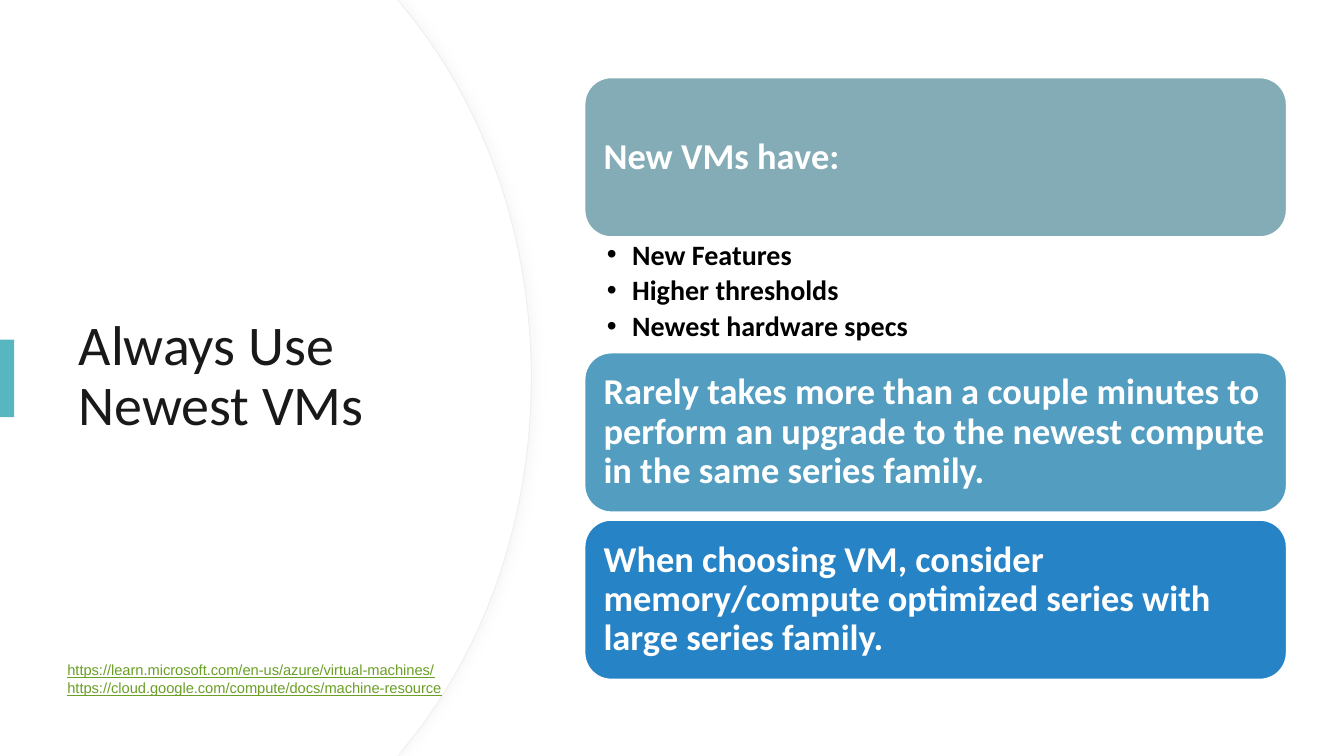
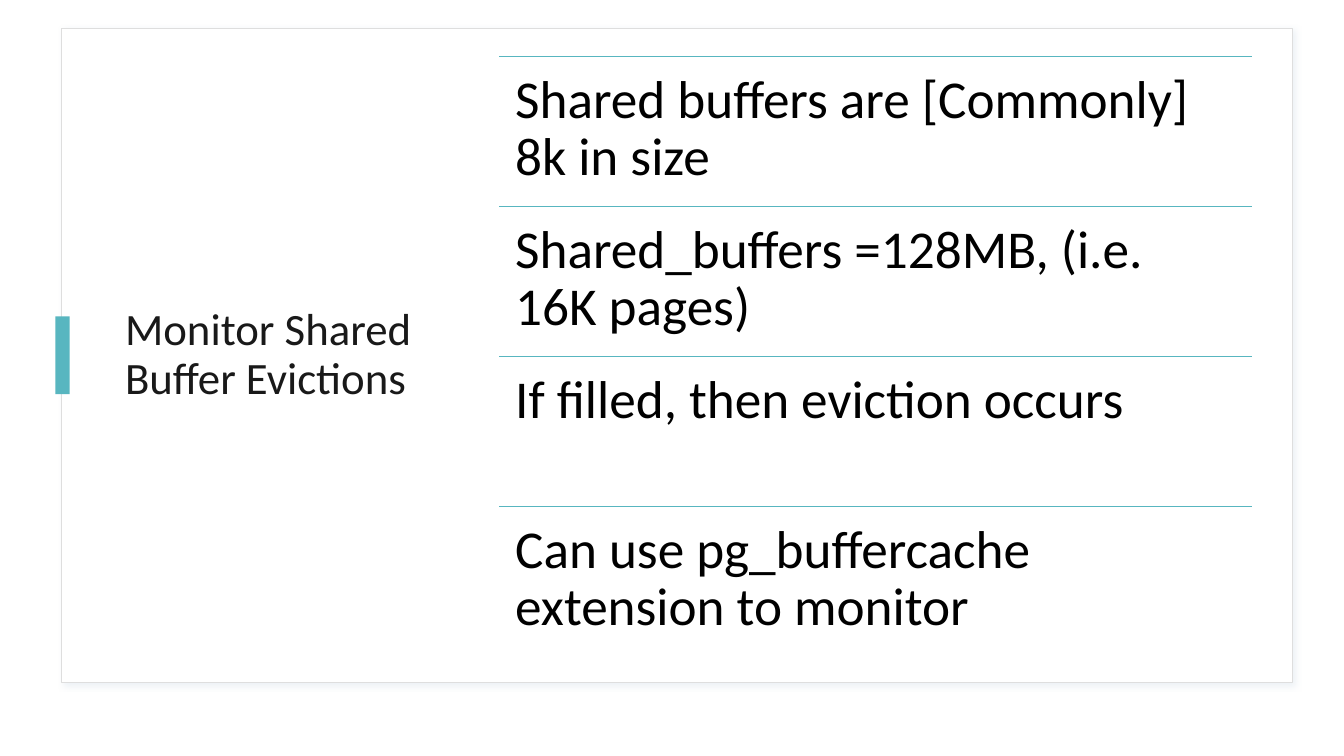
from dataclasses import dataclass
from typing import Any, NamedTuple

from lxml.etree import SubElement
from pptx import Presentation
from pptx.dml.color import RGBColor
from pptx.enum.shapes import MSO_CONNECTOR, MSO_SHAPE
from pptx.enum.text import MSO_ANCHOR, MSO_AUTO_SIZE, PP_ALIGN
from pptx.oxml.ns import qn
from pptx.util import Emu, Pt

EMU_PER_PX = 9144  # 100 px to the inch
SLIDE_W, SLIDE_H = 1333, 750


@dataclass(frozen=True)
class Theme:
    white: str = "FFFFFF"
    ink: str = "000000"
    title: str = "191919"
    accent: str = "58B6C0"
    link: str = "6B9F25"
    arc_edge: str = "EFEFEF"
    panel_edge: str = "DEDEDE"
    cards: tuple[str, ...] = ("84ACB6", "539EC0", "2683C6")
    body_font: str = "Calibri"
    link_font: str = "Arial"
    title_size: float = 40
    small_title_size: float = 32
    row_size: float = 38
    card_size: float = 26
    bullet_size: float = 20
    link_size: float = 10.5


THEME = Theme()


class Box(NamedTuple):
    left: float
    top: float
    width: float
    height: float

    def emu(self) -> tuple[Emu, ...]:
        return tuple(px(length) for length in self)


class Shadow(NamedTuple):
    color: str
    blur: float
    distance: float
    degrees: int


class TextStyle(NamedTuple):
    size: float
    color: str
    font: str = THEME.body_font
    bold: bool = False
    underline: bool = False
    line_spacing: float = 0.9
    space_after: float = 0


@dataclass(frozen=True)
class Card:
    text: str
    top: int
    color: str


ARC_SHADOW = Shadow("D9D9D9", 7, 3, 0)
PANEL_SHADOW = Shadow("A3BBD0", 4, 3, 45)
CARD_LEFT, CARD_W, CARD_H = 580, 696, 158
CARDS = [
    Card(text, top, color)
    for text, top, color in zip(
        (
            "New VMs have:",
            "Rarely takes more than a couple minutes to perform an upgrade "
            "to the newest compute in the same series family.",
            "When choosing VM, consider memory/compute optimized series "
            "with large series family.",
        ),
        (77, 350, 516),
        THEME.cards,
    )
]
FEATURES = ["New Features", "Higher thresholds", "Newest hardware specs"]
SOURCES = [
    "https://learn.microsoft.com/en-us/azure/virtual-machines/",
    "https://cloud.google.com/compute/docs/machine-resource",
]
BUFFER_FACTS = [
    "Shared buffers are [Commonly] 8k in size",
    "Shared_buffers =128MB, (i.e. 16K pages)",
    "If filled, then eviction occurs",
    "Can use pg_buffercache extension to monitor",
]


def px(length: float) -> Emu:
    return Emu(round(length * EMU_PER_PX))


def apply_format(target: Any, values: dict[str, Any]) -> None:
    for name, value in values.items():
        setattr(target, name, value)


# Text
def write(shape: Any, lines: list[str], style: TextStyle,
          insets: tuple[int, int, int, int] = (10, 5, 10, 5),
          anchor: MSO_ANCHOR = MSO_ANCHOR.TOP, hanging: int = 0) -> None:
    frame = shape.text_frame
    margins = ("margin_left", "margin_top", "margin_right", "margin_bottom")
    apply_format(frame, {
        "word_wrap": True,
        "auto_size": MSO_AUTO_SIZE.NONE,
        "vertical_anchor": anchor,
        **{side: px(inset) for side, inset in zip(margins, insets)},
    })
    frame.text = "\n".join(lines)
    for paragraph in frame.paragraphs:
        apply_format(paragraph, {
            "alignment": PP_ALIGN.LEFT,
            "line_spacing": style.line_spacing,
            "space_before": Pt(0),
            "space_after": Pt(style.space_after),
        })
        if hanging:
            properties = paragraph._p.get_or_add_pPr()
            properties.set("marL", str(px(hanging)))
            properties.set("indent", str(-px(hanging)))
        for run in paragraph.runs:
            apply_format(run.font, {
                "name": style.font,
                "size": Pt(style.size),
                "bold": style.bold,
                "underline": style.underline,
            })
            run.font.color.rgb = RGBColor.from_string(style.color)


def place(shape: Any, box: Box) -> None:
    apply_format(shape, dict(zip(("left", "top", "width", "height"), box.emu())))


def add_title(slide: Any, text: str, box: Box, size: float) -> None:
    title = slide.shapes.title
    place(title, box)
    write(title, [text], TextStyle(size, THEME.title), anchor=MSO_ANCHOR.MIDDLE)
    title._element.getparent().append(title._element)  # above the backdrop


# Shapes
def paint(shape: Any, fill: str, edge: str | None = None, width: float = 1,
          shadow: Shadow | None = None) -> None:
    shape.fill.solid()
    shape.fill.fore_color.rgb = RGBColor.from_string(fill)
    if edge:
        shape.line.color.rgb = RGBColor.from_string(edge)
        shape.line.width = Pt(width)
    else:
        shape.line.fill.background()
    shape.shadow.inherit = False
    if shadow:
        effects = shape._element.spPr.find(qn("a:effectLst"))
        outer = SubElement(
            effects, qn("a:outerShdw"), blurRad=str(Pt(shadow.blur)),
            dist=str(Pt(shadow.distance)), dir=str(shadow.degrees * 60000),
            algn="ctr", rotWithShape="0")
        color = SubElement(outer, qn("a:srgbClr"), val=shadow.color)
        SubElement(color, qn("a:alpha"), val="20000")


def add_block(slide: Any, preset: MSO_SHAPE, box: Box, fill: str,
              edge: str | None = None, shadow: Shadow | None = None) -> Any:
    block = slide.shapes.add_shape(preset, *box.emu())
    paint(block, fill, edge, shadow=shadow)
    return block


def add_accent_tab(slide: Any, left: int, top: int) -> None:
    add_block(slide, MSO_SHAPE.RECTANGLE, Box(left, top, 14, 77), THEME.accent)


def add_rule(slide: Any, left: float, right: float, top: float) -> None:
    rule = slide.shapes.add_connector(
        MSO_CONNECTOR.STRAIGHT, px(left), px(top), px(right), px(top))
    rule.line.color.rgb = RGBColor.from_string(THEME.accent)
    rule.line.width = Pt(1)
    SubElement(rule._element.spPr, qn("a:effectLst"))


def bend(segment: Any, controls: list[tuple[int, int]]) -> None:
    """Turn a straight outline segment into a cubic curve."""
    curve = segment.makeelement(qn("a:cubicBezTo"))
    for x, y in controls:
        SubElement(curve, qn("a:pt"), x=str(px(x)), y=str(px(y)))
    curve.extend(list(segment))  # the end point stays last
    segment.getparent().replace(segment, curve)


def add_arc_panel(slide: Any, right: int, edge: str | None = None,
                  shadow: Shadow | None = None) -> None:
    shoulder = right - 126
    outline = [(394, 0), (shoulder, 8), (right, SLIDE_H // 2),
               (shoulder, SLIDE_H - 8), (394, SLIDE_H), (0, SLIDE_H)]
    builder = slide.shapes.build_freeform(0, 0, scale=1.0)
    builder.add_line_segments([(px(x), px(y)) for x, y in outline], close=True)
    panel = builder.convert_to_shape()
    upper = [(right - 48, 102), (right, 232)]
    lower = [(x, SLIDE_H - y) for x, y in reversed(upper)]
    segments = list(panel._element.iter(qn("a:lnTo")))
    for segment, controls in zip(segments[2:4], (upper, lower)):
        bend(segment, controls)
    paint(panel, THEME.white, edge, 0.75, shadow)


# Slides
def build_newest_vms(deck: Any) -> None:
    slide = deck.slides.add_slide(deck.slide_layouts.get_by_name("Title and Content"))
    add_arc_panel(slide, 527, THEME.arc_edge, ARC_SHADOW)
    add_arc_panel(slide, 526)
    add_title(slide, "Always Use Newest VMs", Box(68, 127, 394, 495),
              THEME.title_size)
    add_accent_tab(slide, 0, 337)

    for card in CARDS:
        block = add_block(slide, MSO_SHAPE.ROUNDED_RECTANGLE,
                          Box(CARD_LEFT, card.top, CARD_W, CARD_H),
                          card.color, THEME.white)
        write(block, [card.text], TextStyle(THEME.card_size, THEME.white, bold=True),
              (11, 11, 11, 11), MSO_ANCHOR.MIDDLE)

    features = slide.placeholders[1]
    place(features, Box(CARD_LEFT, 235, CARD_W, 115))
    write(features, FEATURES,
          TextStyle(THEME.bullet_size, THEME.ink, bold=True, space_after=4),
          (22, 4, 20, 4), hanging=25)

    sources = slide.shapes.add_textbox(*Box(57, 651, 670, 63).emu())
    write(sources, SOURCES, TextStyle(THEME.link_size, THEME.link, THEME.link_font,
                                      underline=True, line_spacing=1.0))


def build_buffer_evictions(deck: Any) -> None:
    slide = deck.slides.add_slide(deck.slide_layouts.get_by_name("Title Only"))
    add_block(slide, MSO_SHAPE.RECTANGLE, Box(61, 28, 1221, 649), THEME.white,
              THEME.panel_edge, PANEL_SHADOW)
    add_title(slide, "Monitor Shared Buffer Evictions", Box(114, 55, 327, 595),
              THEME.small_title_size)
    add_accent_tab(slide, 55, 314)

    facts = Box(495, 56, 747, 595)
    pitch = facts.height / len(BUFFER_FACTS)
    for index, fact in enumerate(BUFFER_FACTS):
        top = facts.top + index * pitch
        add_rule(slide, facts.left, facts.left + facts.width, top)
        row = slide.shapes.add_textbox(*Box(facts.left, top, facts.width, pitch).emu())
        write(row, [fact], TextStyle(THEME.row_size, THEME.ink), (16, 16, 16, 16))


def main() -> None:
    deck = Presentation()
    deck.slide_width, deck.slide_height = px(SLIDE_W), px(SLIDE_H)
    build_newest_vms(deck)
    build_buffer_evictions(deck)
    deck.save("out.pptx")


if __name__ == "__main__":
    main()
